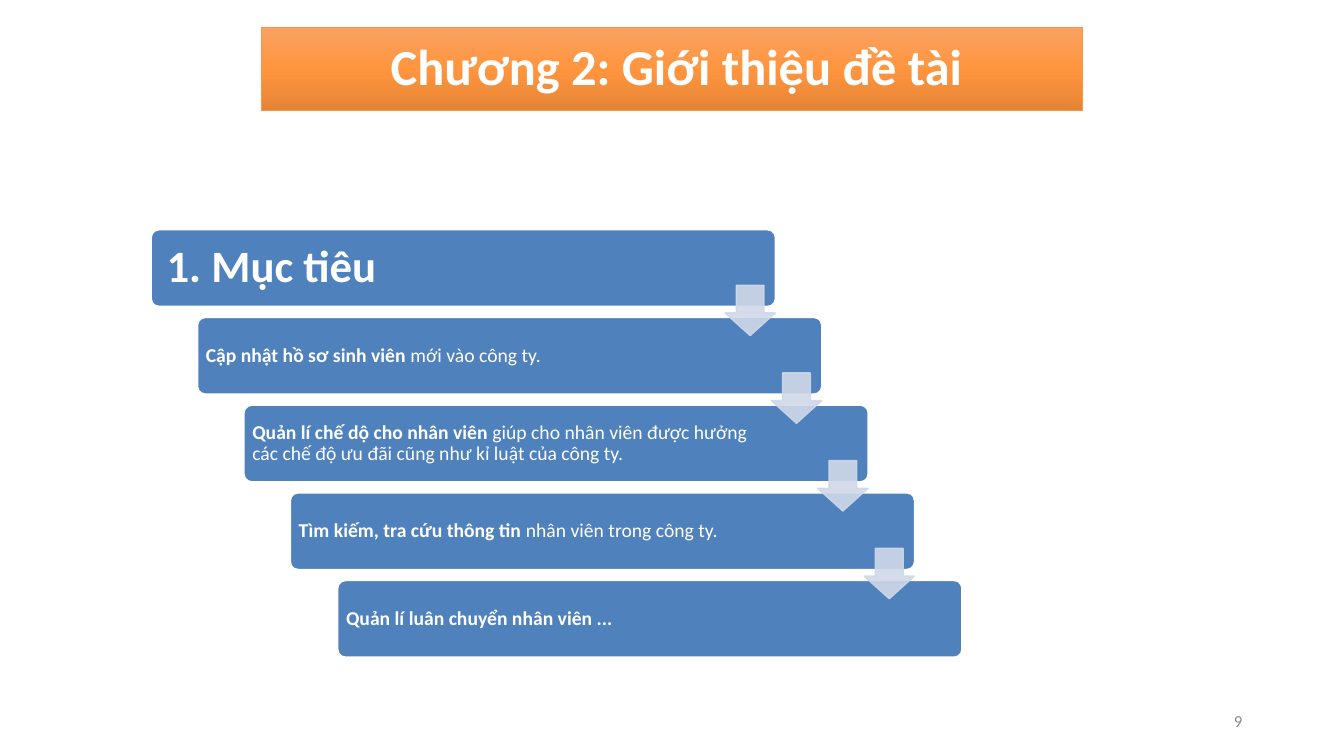
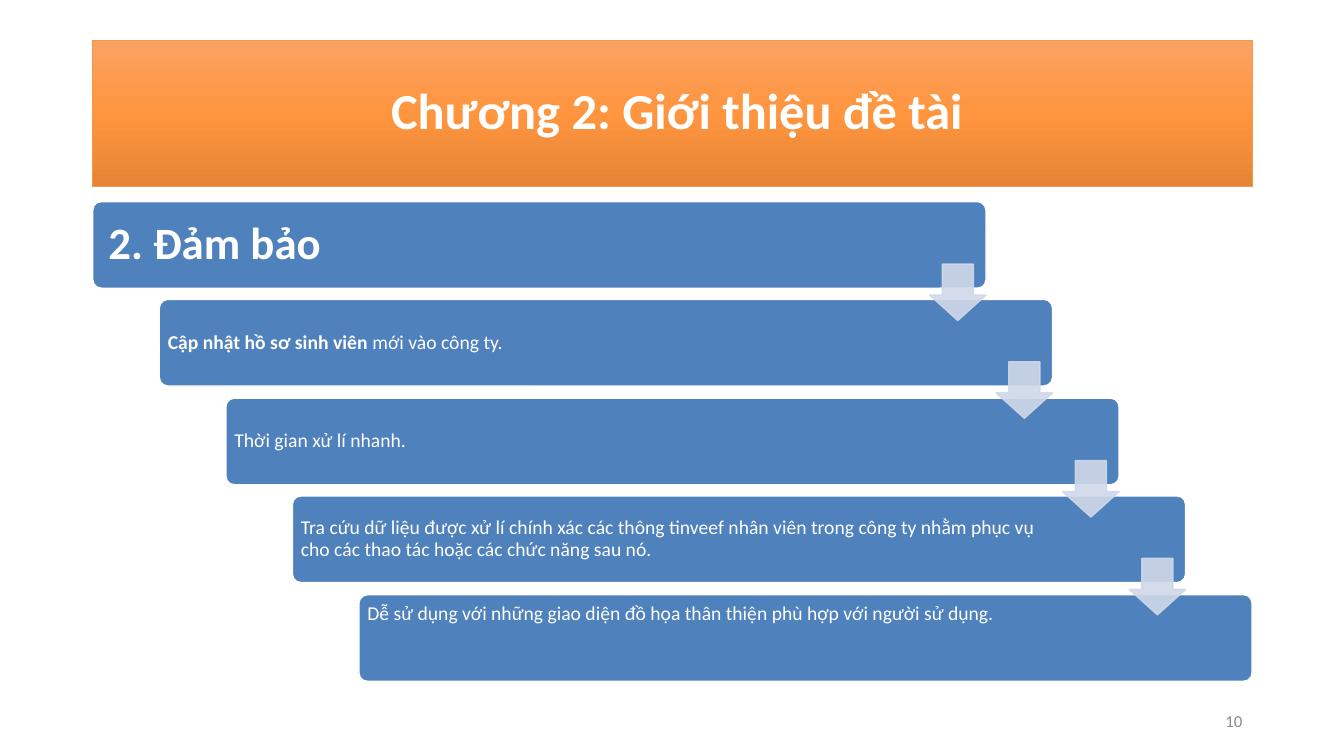
from copy import deepcopy
from lxml.etree import SubElement
from pptx import Presentation
from pptx.dml.color import RGBColor
from pptx.enum.shapes import MSO_SHAPE as KIND
from pptx.enum.text import MSO_ANCHOR, PP_ALIGN
from pptx.oxml.ns import qn
from pptx.util import Pt

PX = 9144  # 100 px to the inch
FONT = "Calibri"
TITLE = "Chương 2: Giới thiệu đề tài"
HUE = {"white": "FFFFFF", "box": "4F81BD", "arrow": "D0D8E8", "edge": "F79646",
       "top": "FAA263", "mid": "FF953E", "low": "E58435", "page": "8C8C8C"}

# Each step is a bold part and a plain part
PAGES = [
    {"page": "9", "title": (259, 27, 815, 83),
     "start": (150, 228), "size": (619, 76), "shift": (185, 348), "arrow": 50, "right": 103,
     "steps": [("1. Mục tiêu", ""),
               ("Cập nhật hồ sơ sinh viên", " mới vào công ty."),
               ("Quản lí chế dộ cho nhân viên",
                " giúp cho nhân viên được hưởng các chế độ ưu đãi cũng như kỉ luật của công ty."),
               ("Tìm kiếm, tra cứu thông tin", " nhân viên trong công ty."),
               ("Quản lí luân chuyển nhân viên ...", "")]},
    {"page": "10", "title": (92, 40, 1150, 145),
     "start": (92, 200), "size": (886, 86), "shift": (264, 390), "arrow": 56, "right": 129,
     "high": 4,
     "steps": [("2. Đảm bảo", ""),
               ("Cập nhật hồ sơ sinh viên", " mới vào công ty."),
               ("", "Thời gian xử lí nhanh."),
               ("", "Tra cứu dữ liệu được xử lí chính xác các thông tinveef nhân viên trong công ty"
                    " nhằm phục vụ cho các thao tác hoặc các chức năng sau nó."),
               ("", "Dễ sử dụng với những giao diện đồ họa thân thiện phù hợp với người sử dụng.")]},
]


def draw(slide, kind, at, fill, line, width):
    shape = slide.shapes.add_shape(kind, *[n * PX for n in at])
    shape.shadow.inherit = False
    if fill:
        shape.fill.solid()
        shape.fill.fore_color.rgb = RGBColor.from_string(HUE[fill])
    shape.line.color.rgb = RGBColor.from_string(HUE[line])
    shape.line.width = Pt(width)
    return shape


def write(shape, parts, size, hue, align, pads, lead=0.9):
    frame = shape.text_frame
    frame.word_wrap = True
    frame.vertical_anchor = MSO_ANCHOR.MIDDLE
    (frame.margin_left, frame.margin_top,
     frame.margin_right, frame.margin_bottom) = [n * PX for n in pads]
    para = frame.paragraphs[0]
    para.alignment = align
    para.line_spacing = lead
    for text, bold in parts:
        if text:
            run = para.add_run()
            run.text = text
            run.font.name = FONT
            run.font.size = Pt(size)
            run.font.bold = bold
            run.font.color.rgb = RGBColor.from_string(HUE[hue])


prs = Presentation()
prs.slide_width, prs.slide_height = 1333 * PX, 750 * PX

for page in PAGES:
    slide = prs.slides.add_slide(prs.slide_layouts[6])

    # Title band with a three-colour gradient
    band = draw(slide, KIND.RECTANGLE, page["title"], None, "edge", 0.5)
    band.fill.gradient()
    band.fill.gradient_angle = 270
    stops = band.element.xpath(".//a:gsLst")[0]
    stops.append(deepcopy(stops[0]))
    for stop, name, spot in zip(band.fill.gradient_stops, ("top", "mid", "low"), (0, 0.5, 1)):
        stop.color.rgb = RGBColor.from_string(HUE[name])
        stop.position = spot
    write(band, [(TITLE, True)], 36, "white", PP_ALIGN.CENTER, (19, 5, 10, 5))

    # Staircase of boxes
    left, top = page["start"]
    wide, high = page["size"]
    across, down = page["shift"]
    last = len(page["steps"]) - 1
    spots = [(left + across * i // last, top + down * i // last) for i in range(last + 1)]
    for i, ((x, y), (bold, plain)) in enumerate(zip(spots, page["steps"])):
        box = draw(slide, KIND.ROUNDED_RECTANGLE, (x, y, wide, high), "box", "white", 1)
        box.adjustments[0] = 0.1
        pad = 6 if i else 13
        write(box, [(bold, True), (plain, False)], 14 if i else 32, "white",
              PP_ALIGN.LEFT, (pad, 6, page["right"], 6))
        if i == page.get("high"):
            box.text_frame.vertical_anchor = MSO_ANCHOR.TOP

    # Arrows from each box down to the next
    side = page["arrow"]
    for x, y in spots[:-1]:
        at = (x + wide - side, y + high * 73 // 100, side, side)
        arrow = draw(slide, KIND.DOWN_ARROW, at, "arrow", "arrow", 1)
        arrow.adjustments[0], arrow.adjustments[1] = 0.55, 0.45
        for tint in arrow.element.xpath("./p:spPr//a:srgbClr"):
            SubElement(tint, qn("a:alpha")).set("val", "90000")

    # Page number
    note = slide.shapes.add_textbox(*[n * PX for n in (942, 695, 300, 40)])
    write(note, [(page["page"], False)], 12, "page", PP_ALIGN.RIGHT, (10, 5, 10, 5), 1.0)

prs.save("out.pptx")
